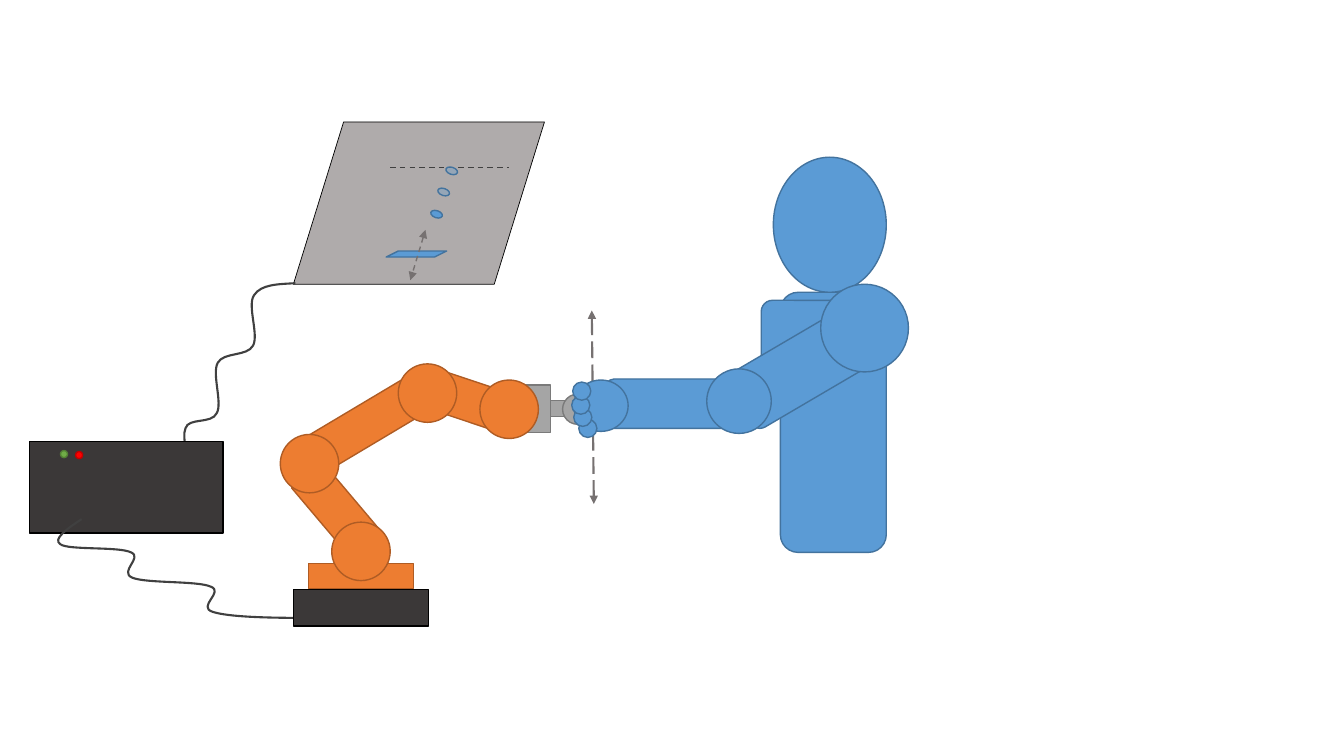
from pptx import Presentation, util as u
from pptx.dml.color import RGBColor
from pptx.enum import dml, shapes
from pptx.oxml.ns import qn
from lxml import etree

COLORS = {
    "blue": "5B9BD5", "navy": "43739E", "orange": "ED7D31", "rust": "AF5C24",
    "steel": "A5A5A5", "iron": "7A7A7A", "screen": "AFABAB", "coal": "3B3838",
    "black": "000000", "wire": "404040", "arrow": "767171",
    "green": "70AD47", "moss": "538035", "red": "FF0000", "wine": "C00000",
}
KIND = shapes.MSO_SHAPE
DASH = dml.MSO_LINE
HUMAN = ("blue", "navy")
ROBOT = ("orange", "rust")
METAL = ("steel", "iron")
BOX = ("coal", "black")


class Scene:
    def __init__(self, deck):
        self.slide = deck.slides.add_slide(deck.slide_layouts[6])
        self.home = self.slide.shapes
        self.spot = self.home

    def group(self):
        self.spot = self.home.add_group_shape().shapes

    def leave(self):
        self.spot = self.home

    def stroke(self, line, color, width, dash=None):
        line.color.rgb = RGBColor.from_string(COLORS[color])
        line.width = u.Pt(width)
        if dash:
            line.dash_style = dash

    def shape(self, kind, at, paint, turn=0, width=1, alpha=None):
        item = self.spot.add_shape(kind, *map(u.Inches, at))
        item.shadow.inherit = False
        item.rotation = turn
        item.fill.solid()
        item.fill.fore_color.rgb = RGBColor.from_string(COLORS[paint[0]])
        if alpha:
            tint = next(item.element.spPr.iter(qn("a:srgbClr")))
            etree.SubElement(tint, qn("a:alpha")).set("val", str(alpha * 1000))
        self.stroke(item.line, paint[1], width)

    def rect(self, at, paint, turn=0):
        self.shape(KIND.RECTANGLE, at, paint, turn)

    def round(self, at, paint, turn=0):
        self.shape(KIND.ROUNDED_RECTANGLE, at, paint, turn)

    def disc(self, left, top, size, paint):
        self.shape(KIND.OVAL, (left, top, size, size), paint)

    def line(self, ends, color, width, dash, heads=False):
        item = self.spot.add_connector(
            shapes.MSO_CONNECTOR.STRAIGHT, *map(u.Inches, ends))
        self.stroke(item.line, color, width, dash)
        if heads:
            edge = item.element.spPr.find(qn("a:ln"))
            for tag in ("a:headEnd", "a:tailEnd"):
                etree.SubElement(edge, qn(tag)).set("type", "triangle")
        etree.SubElement(item.element.spPr, qn("a:effectLst"))

    def cable(self, start, curves):
        """Draw a smooth open curve; each curve is two handles and an end."""
        pen = self.spot.build_freeform(*map(u.Inches, start))
        points = [(c[i], c[i + 1]) for c in curves for i in (0, 2, 4)]
        pen.add_line_segments(
            [tuple(map(u.Inches, p)) for p in points], close=False)
        item = pen.convert_to_shape()
        track = next(item.element.iter(qn("a:path")))
        steps = track.findall(qn("a:lnTo"))
        for i in range(0, len(steps), 3):
            bend = etree.SubElement(track, qn("a:cubicBezTo"))
            for step in steps[i:i + 3]:
                bend.append(step[0])
                track.remove(step)
        item.shadow.inherit = False
        item.fill.background()
        self.stroke(item.line, "wire", 1.5)


def main():
    deck = Presentation()
    deck.slide_width, deck.slide_height = u.Inches(13.33), u.Inches(7.5)
    s = Scene(deck)

    # Hand motion and torso
    s.line((5.87, 3.08, 5.89, 5), "arrow", 1.5, DASH.LONG_DASH, heads=True)
    s.round((7.74, 2.9, 1.05, 2.58), HUMAN)
    s.round((7.55, 2.98, 1.22, 0.67), HUMAN)

    # Robot handle
    s.group()
    s.rect((5.44, 3.94, 0.16, 0.23), METAL, 90)
    s.disc(5.58, 3.91, 0.3, METAL)
    s.rect((5.21, 3.82, 0.25, 0.47), METAL)

    # Robot arm: foot, links, joints
    s.group()
    s.rect((3.06, 5.59, 1.04, 0.25), ROBOT)
    for left, top, length, turn in ((2.87, 4.89, 0.99, 229.8),
                                    (2.89, 4.01, 1.49, 329.2),
                                    (4.26, 3.77, 0.74, 18.5)):
        s.rect((left, top, length, 0.4), ROBOT, turn)
    for left, top in ((2.78, 4.31), (3.29, 5.18), (3.95, 3.61), (4.76, 3.77)):
        s.disc(left, top, 0.58, ROBOT)
    s.leave()

    # Human head, arm and hand
    s.shape(KIND.OVAL, (7.67, 1.56, 1.12, 1.34), HUMAN)
    s.round((7.25, 3.37, 1.31, 0.63), HUMAN, 329.6)
    s.round((6.01, 3.76, 1.31, 0.49), HUMAN)
    s.disc(7.01, 3.66, 0.64, HUMAN)
    s.shape(KIND.OVAL, (5.69, 3.77, 0.54, 0.51), HUMAN)
    s.disc(8.14, 2.82, 0.87, HUMAN)
    for left, top in ((5.74, 4.16), (5.69, 4.05), (5.67, 3.93), (5.68, 3.79)):
        s.disc(left, top, 0.18, HUMAN)

    # Screen with paddle, ball and target line
    s.shape(KIND.FLOWCHART_DATA, (2.91, 1.21, 2.49, 1.61),
            ("screen", "black"), width=0.5)
    s.shape(KIND.FLOWCHART_DATA, (3.83, 2.49, 0.6, 0.06), HUMAN, 180)
    s.line((3.87, 1.66, 5.05, 1.66), "wire", 1, DASH.DASH)
    s.line((4.22, 2.28, 4.07, 2.78), "arrow", 1, DASH.DASH, heads=True)
    for left, top, alpha in ((4.27, 2.09, None), (4.34, 1.87, 30),
                             (4.42, 1.66, 30)):
        s.shape(KIND.OVAL, (left, top, 0.12, 0.07), HUMAN, 18.6, alpha=alpha)

    # Control box and cables
    s.cable((2.93, 2.81), (
        (2.76, 2.82, 2.59, 2.82, 2.52, 2.93),
        (2.45, 3.03, 2.57, 3.32, 2.51, 3.43),
        (2.45, 3.54, 2.22, 3.49, 2.16, 3.6),
        (2.1, 3.71, 2.21, 4, 2.15, 4.1),
        (2.1, 4.21, 1.87, 4.14, 1.84, 4.25),
        (1.8, 4.35, 1.87, 4.55, 1.93, 4.74)))
    s.rect((0.29, 4.38, 1.92, 0.91), BOX)
    s.cable((3.02, 6.13), (
        (2.64, 6.13, 2.26, 6.12, 2.11, 6.07),
        (1.95, 6.02, 2.23, 5.87, 2.09, 5.82),
        (1.96, 5.76, 1.45, 5.79, 1.31, 5.73),
        (1.18, 5.67, 1.42, 5.53, 1.3, 5.48),
        (1.18, 5.42, 0.68, 5.46, 0.6, 5.4),
        (0.52, 5.35, 0.66, 5.25, 0.81, 5.15)))
    s.disc(0.6, 4.47, 0.07, ("green", "moss"))
    s.disc(0.75, 4.48, 0.07, ("red", "wine"))

    # Robot base
    s.rect((2.91, 5.85, 1.34, 0.36), BOX)

    deck.save("out.pptx")


if __name__ == "__main__":
    main()
